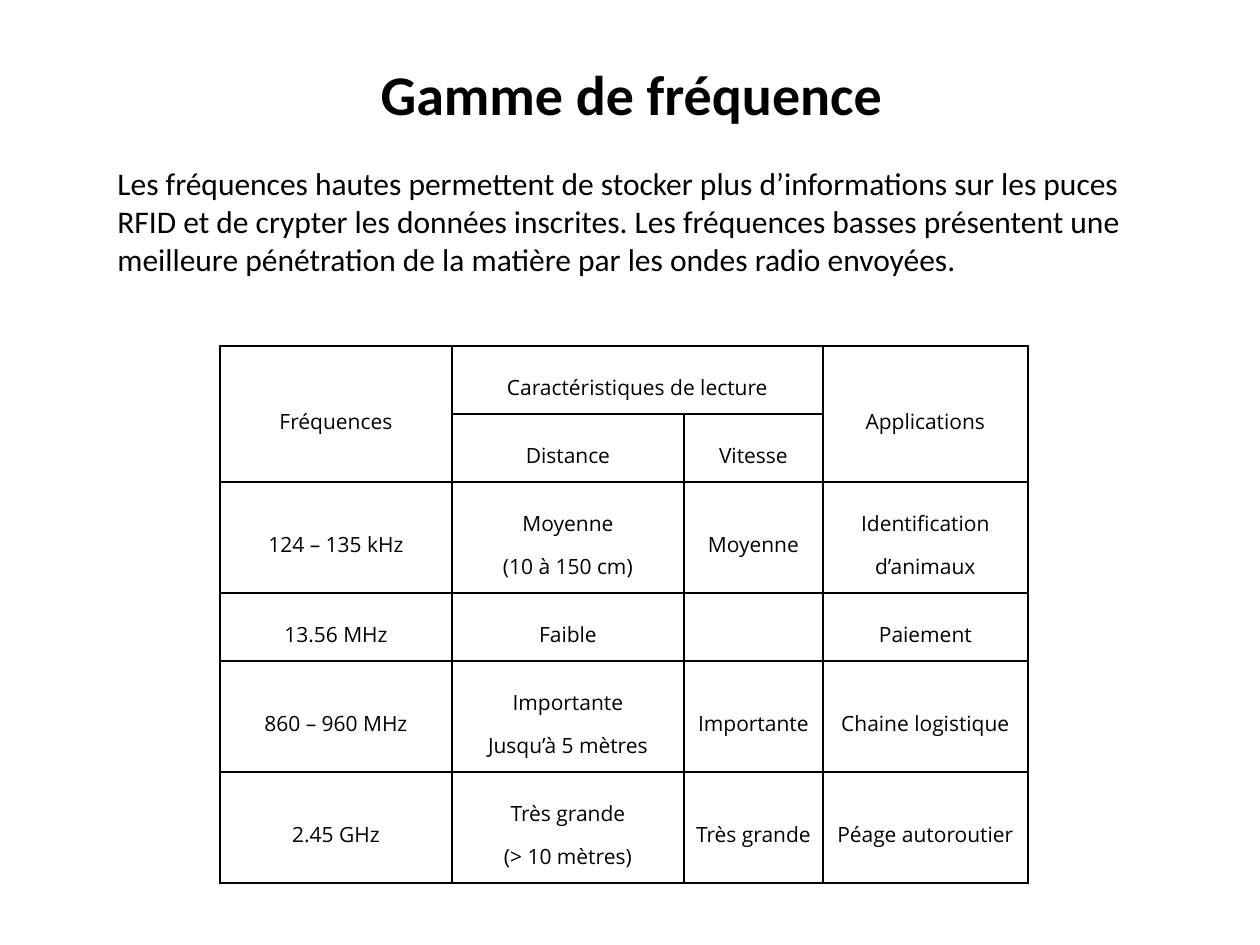
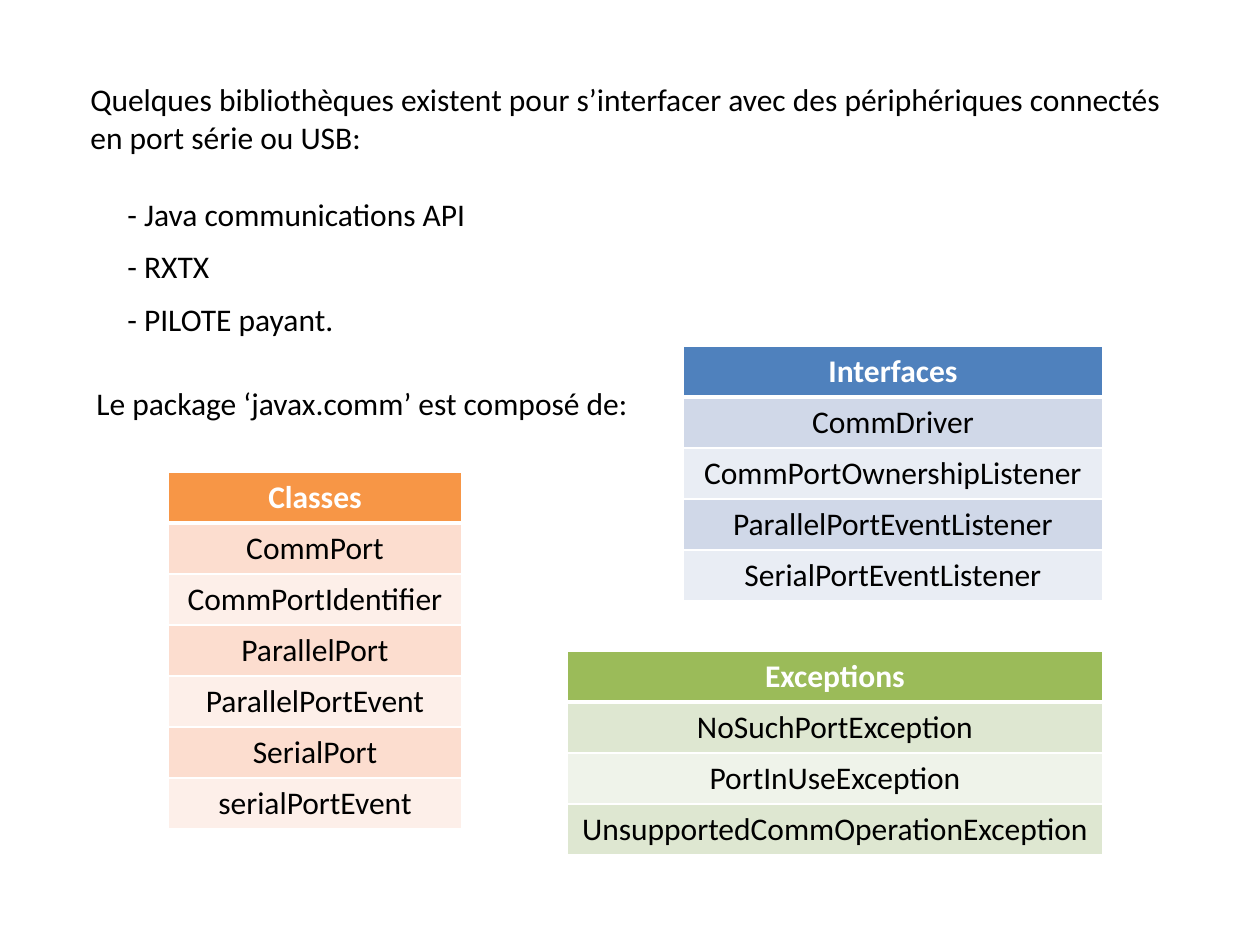
from lxml import etree
from pptx import Presentation
from pptx.dml.color import RGBColor
from pptx.enum.text import MSO_ANCHOR, PP_ALIGN
from pptx.oxml.ns import qn
from pptx.util import Inches, Pt

PX_PER_INCH = 126
BODY_FONT = "Calibri"
GRID_FONT = "Open Sans"
COLORS = {"text": "000000", "white": "FFFFFF"}
# Each theme: header, odd row, even row
THEMES = {
    "blue": ("4F81BD", "D0D8E8", "E9EDF4"),
    "orange": ("F79646", "FCDDCF", "FDEFE9"),
    "green": ("9BBB59", "DEE7D1", "EFF3EA"),
}
LIST_ROW = 51

FREQUENCY_COLUMNS = (232, 232, 139, 205)
FREQUENCY_ROWS = (68, 68, 111, 68, 111, 111)
FREQUENCIES = [
    ("Fréquences", "Caractéristiques de lecture", "", "Applications"),
    ("", "Distance", "Vitesse", ""),
    ("124 – 135 kHz", "Moyenne\n(10 à 150 cm)", "Moyenne", "Identification d’animaux"),
    ("13.56 MHz", "Faible", "", "Paiement"),
    ("860 – 960 MHz", "Importante\nJusqu’à 5 mètres", "Importante", "Chaine logistique"),
    ("2.45 GHz", "Très grande\n(> 10 mètres)", "Très grande", "Péage autoroutier"),
]


def px(pixels):
    """Turn picture pixels into EMU."""
    return Inches(pixels / PX_PER_INCH)


def write(frame, text, size, color="text", font=BODY_FONT, bold=False, align=PP_ALIGN.LEFT, spacing=None):
    """Fill a text frame, one paragraph a line, in a single style."""
    frame.text = text
    for paragraph in frame.paragraphs:
        paragraph.alignment = align
        if spacing:
            paragraph.line_spacing = spacing
        for run in paragraph.runs:
            run.font.name = font
            run.font.size = Pt(size)
            run.font.bold = bold
            run.font.color.rgb = RGBColor.from_string(COLORS[color])


def add_title(slide, text, left, top, width, height):
    """Move the title placeholder and write the title in it."""
    title = slide.shapes.title
    title.left, title.top, title.width, title.height = map(px, (left, top, width, height))
    write(title.text_frame, text, 32, bold=True)
    title.text_frame.word_wrap = False


def add_text(slide, text, left, top, width, height=50, wrap=False):
    """Add a body text box."""
    frame = slide.shapes.add_textbox(*map(px, (left, top, width, height))).text_frame
    frame.word_wrap = wrap
    write(frame, text, 18)


def set_borders(cell, color, bottom=1, top=1):
    """Draw the four edges of a cell, widths in points."""
    properties = cell._tc.get_or_add_tcPr()
    edges = (("lnL", 1), ("lnR", 1), ("lnT", top), ("lnB", bottom))
    for index, (tag, width) in enumerate(edges):
        line = etree.Element(qn(f"a:{tag}"), w=str(Pt(width)))
        fill = etree.SubElement(line, qn("a:solidFill"))
        etree.SubElement(fill, qn("a:srgbClr"), val=COLORS[color])
        properties.insert(index, line)


def add_table(slide, left, top, columns, rows):
    """Add a table without banding, sized by its columns and rows."""
    frame = slide.shapes.add_table(
        len(rows), len(columns), px(left), px(top), px(sum(columns)), px(sum(rows)))
    table = frame.table
    table.first_row = table.horz_banding = False
    for column, width in zip(table.columns, columns):
        column.width = px(width)
    for row, height in zip(table.rows, rows):
        row.height = px(height)
    return table


def add_frequency_table(slide, left, top):
    """Add the ruled frequency grid with its two-level header."""
    table = add_table(slide, left, top, FREQUENCY_COLUMNS, FREQUENCY_ROWS)
    for r, values in enumerate(FREQUENCIES):
        for c, value in enumerate(values):
            cell = table.cell(r, c)
            cell.fill.background()
            set_borders(cell, "text")
            cell.vertical_anchor = MSO_ANCHOR.MIDDLE
            cell.margin_left = cell.margin_right = Inches(0.08)
            cell.margin_top = cell.margin_bottom = Inches(0.1)
            if value:
                write(cell.text_frame, value, 12, font=GRID_FONT, align=PP_ALIGN.CENTER, spacing=1.5)
    for first, last in (((0, 0), (1, 0)), ((0, 1), (0, 2)), ((0, 3), (1, 3))):
        table.cell(*first).merge(table.cell(*last))


def add_list_table(slide, left, top, width, theme, heading, names):
    """Add a one-column table: coloured heading, then banded names."""
    header, odd, even = THEMES[theme]
    table = add_table(slide, left, top, [width], [LIST_ROW] * (len(names) + 1))
    for r, name in enumerate([heading, *names]):
        cell = table.cell(r, 0)
        is_header = r == 0
        fill = header if is_header else (odd if r % 2 else even)
        cell.fill.solid()
        cell.fill.fore_color.rgb = RGBColor.from_string(fill)
        set_borders(cell, "white", bottom=3 if is_header else 1, top=3 if r == 1 else 1)
        cell.vertical_anchor = MSO_ANCHOR.MIDDLE
        write(cell.text_frame, name, 18, "white" if is_header else "text",
              bold=is_header, align=PP_ALIGN.CENTER)


def build_frequency_slide(prs):
    """Slide on frequency ranges."""
    slide = prs.slides.add_slide(prs.slide_layouts[5])
    add_title(slide, "Gamme de fréquence", 368, 53, 532, 81)
    add_text(slide,
             "Les fréquences hautes permettent de stocker plus d’informations sur les puces RFID "
             "et de crypter les données inscrites. Les fréquences basses présentent une meilleure "
             "pénétration de la matière par les ondes radio envoyées.",
             105, 158, 1050, 127, wrap=True)
    add_frequency_table(slide, 220, 346)


def build_library_slide(prs):
    """Slide on serial port libraries."""
    slide = prs.slides.add_slide(prs.slide_layouts[6])
    add_text(slide,
             "Quelques bibliothèques existent pour s’interfacer avec des périphériques connectés "
             "en port série ou USB:", 78, 74, 1103, 89, wrap=True)
    libraries = (("- Java communications API", 368), ("- RXTX", 108), ("- PILOTE payant.", 253))
    for i, (library, width) in enumerate(libraries):
        add_text(slide, library, 115, 189 + i * 105 // 2, width)
    add_text(slide, "Le package ‘javax.comm’ est composé de:", 84, 378, 563)
    add_list_table(slide, 683, 346, 420, "blue", "Interfaces", [
        "CommDriver", "CommPortOwnershipListener", "ParallelPortEventListener",
        "SerialPortEventListener"])
    add_list_table(slide, 168, 472, 294, "orange", "Classes", [
        "CommPort", "CommPortIdentifier", "ParallelPort", "ParallelPortEvent",
        "SerialPort", "serialPortEvent"])
    add_list_table(slide, 567, 651, 536, "green", "Exceptions", [
        "NoSuchPortException", "PortInUseException", "UnsupportedCommOperationException"])


def main():
    """Build and save the presentation."""
    prs = Presentation()
    prs.slide_width, prs.slide_height = Inches(10), Inches(7.5)
    build_frequency_slide(prs)
    build_library_slide(prs)
    prs.save("out.pptx")


main()
